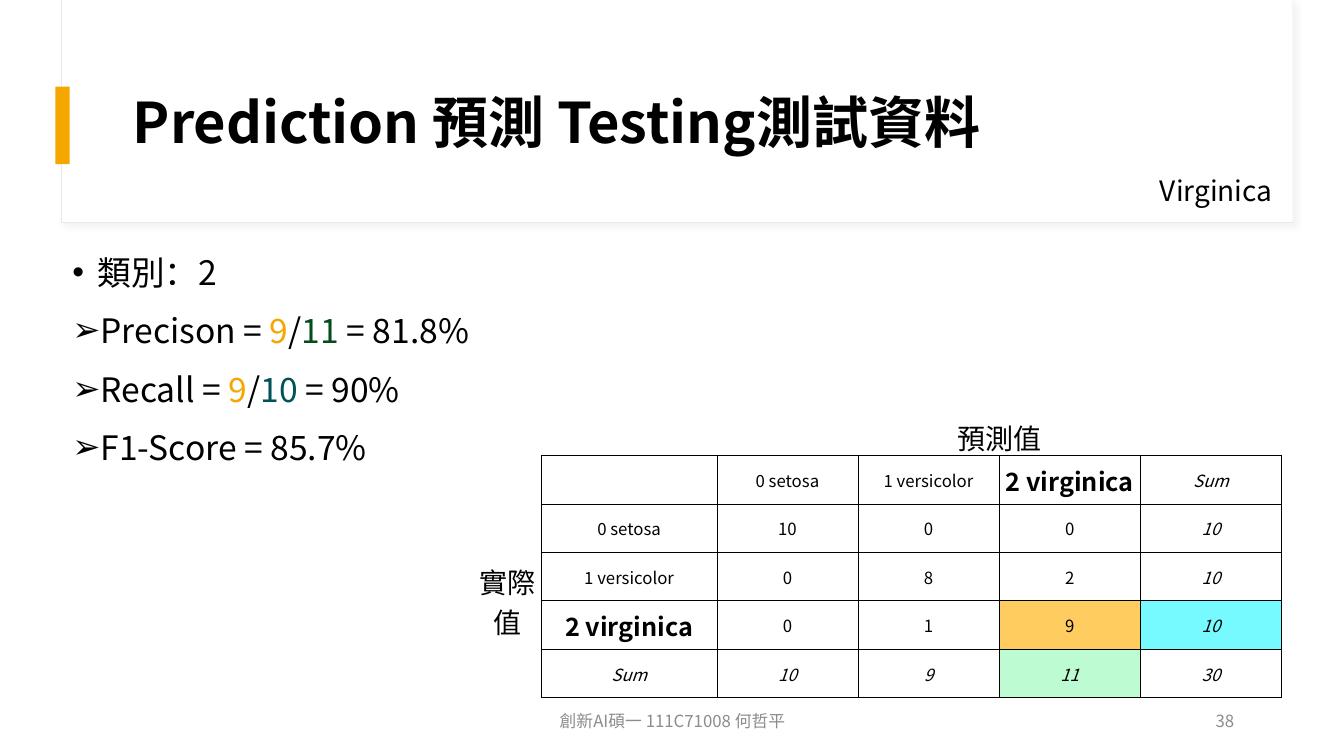
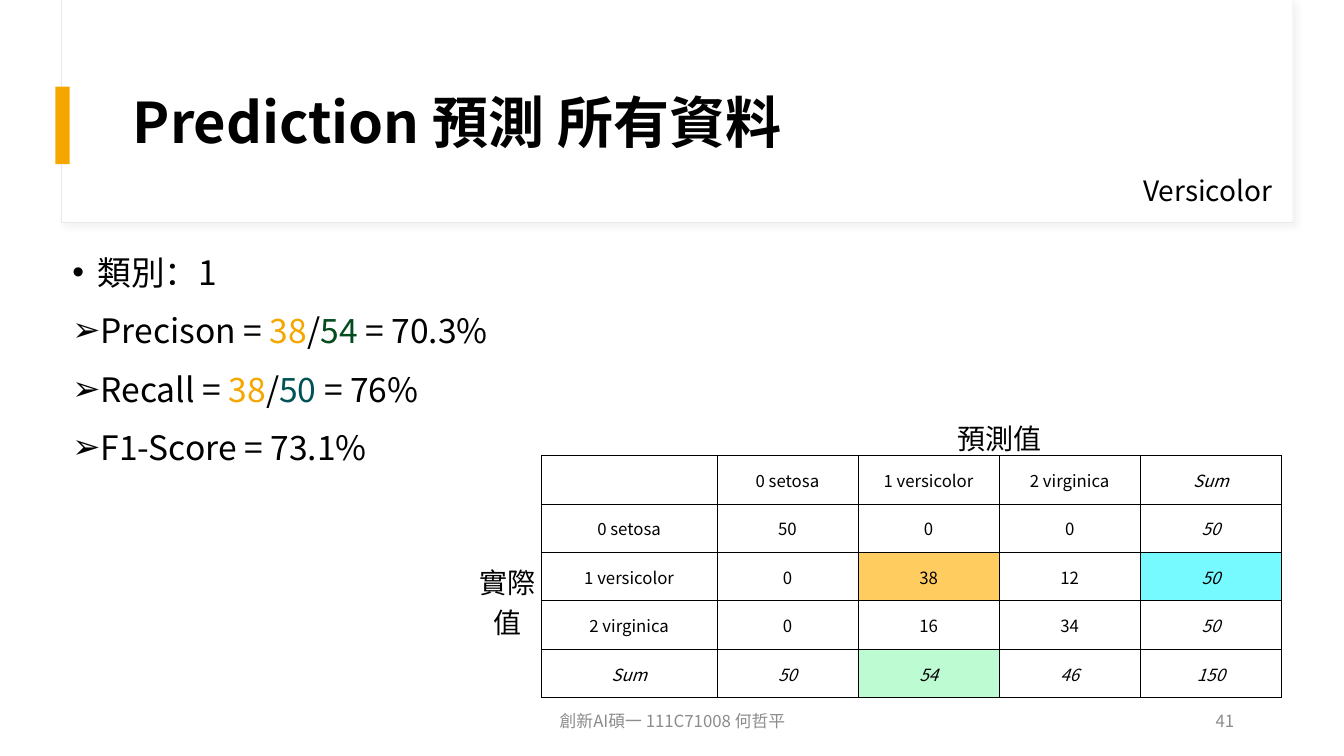
from lxml.etree import SubElement
from pptx import Presentation
from pptx.dml.color import RGBColor
from pptx.enum.shapes import MSO_SHAPE
from pptx.enum.text import MSO_ANCHOR as ANCHOR, PP_ALIGN as ALIGN
from pptx.oxml.ns import qn
from pptx.util import Inches, Pt

FONT = "Noto Sans CJK SC"
BLACK, WHITE, GREY = "000000", "FFFFFF", "8C8C8C"
BAND_LINE, SHADOW = "E9E9E9", "D9D9D9"
AMBER, GREEN, TEAL = "F5A700", "044B1E", "005256"
HIT_FILL, PREDICTED_FILL, ACTUAL_FILL = "FFCC60", "BDFBD3", "77FAFF"
CLASSES = ["0 setosa", "1 versicolor", "2 virginica"]
COLUMN_WIDTHS = [0.68, 1.74] + [1.4] * 4
ROW_HEIGHTS = [0.39] + [0.48] * 5


def rgb(value):
    return RGBColor.from_string(value)


def style_run(run, size, color=BLACK, bold=False, italic=False):
    font = run.font
    font.name, font.size, font.bold, font.italic = FONT, Pt(size), bold, italic
    font.color.rgb = rgb(color)
    SubElement(run._r.get_or_add_rPr(), qn("a:ea"), typeface=FONT)


def add_box(slide, left, top, width, height, fill, line=None):
    box = slide.shapes.add_shape(MSO_SHAPE.RECTANGLE, Inches(left), Inches(top),
                                 Inches(width), Inches(height))
    box.shadow.inherit = False
    box.fill.solid()
    box.fill.fore_color.rgb = rgb(fill)
    if line:
        box.line.color.rgb = rgb(line)
        box.line.width = Pt(0.75)
    else:
        box.line.fill.background()
    return box


def add_soft_shadow(shape):
    effects = shape._element.spPr.find(qn("a:effectLst"))
    outer = SubElement(effects, qn("a:outerShdw"), blurRad=str(Pt(4)),
                       dist=str(Pt(3)), dir=str(45 * 60000), algn="tl", rotWithShape="0")
    color = SubElement(outer, qn("a:srgbClr"), val=SHADOW)
    SubElement(color, qn("a:alpha"), val="30000")


def add_frame(slide, left, top, width, height, anchor=ANCHOR.TOP):
    frame = slide.shapes.add_textbox(Inches(left), Inches(top), Inches(width),
                                     Inches(height)).text_frame
    frame.word_wrap = True
    frame.vertical_anchor = anchor
    return frame


def add_label(slide, place, text, size, align=ALIGN.LEFT, color=BLACK,
              bold=False, anchor=ANCHOR.MIDDLE):
    frame = add_frame(slide, *place, anchor=anchor)
    frame.text = text
    paragraph = frame.paragraphs[0]
    paragraph.alignment = align
    style_run(paragraph.runs[0], size, color, bold)
    return paragraph


def add_heading(slide, title, species, number):
    """Draw the title band, the species name and the footer."""
    add_soft_shadow(add_box(slide, 0.61, 0, 12.21, 2.21, WHITE, BAND_LINE))
    add_box(slide, 0.62, 0, 12.2, 2.2, WHITE)
    add_box(slide, 0.55, 0.86, 0.14, 0.77, AMBER)
    add_label(slide, (1.22, 0.6, 11.12, 1.29), title, 40, bold=True).line_spacing = 0.9
    add_label(slide, (10.76, 1.67, 1.96, 0.44), species, 20, ALIGN.RIGHT,
              anchor=ANCHOR.TOP)
    add_label(slide, (9.34, 6.95, 3, 0.4), str(number), 12, ALIGN.RIGHT, GREY)
    add_label(slide, (4.42, 6.95, 4.5, 0.4), "創新AI碩一 111C71008 何哲平", 12,
              ALIGN.CENTER, GREY)


def set_bullet(paragraph, char):
    props = paragraph._p.get_or_add_pPr()
    props.set("marL", str(Inches(0.25)))
    props.set("indent", str(-Inches(0.25)))
    SubElement(props, qn("a:buFont"), typeface="Arial")
    SubElement(props, qn("a:buChar"), char=char)


def add_scores(slide, lines):
    """Write bulleted lines, each a bullet and its (text, colour) parts."""
    frame = add_frame(slide, 0.62, 2.41, 11.12, 4.04)
    for index, (bullet, parts) in enumerate(lines):
        paragraph = frame.add_paragraph() if index else frame.paragraphs[0]
        paragraph.line_spacing = 1.1
        paragraph.space_before = Pt(10)
        set_bullet(paragraph, bullet)
        for text, color in parts:
            run = paragraph.add_run()
            run.text = text
            style_run(run, 24, color)


def set_borders(cell, sides):
    """Rule the given sides; call before filling, as the lines come first."""
    props = cell._tc.get_or_add_tcPr()
    for side in sides:
        line = SubElement(props, qn(f"a:ln{side}"), w=str(Pt(0.5)))
        SubElement(SubElement(line, qn("a:solidFill")), qn("a:srgbClr"), val=BLACK)


def fill_cell(cell, text, size=12, bold=False, italic=False):
    cell.text = text
    paragraph = cell.text_frame.paragraphs[0]
    paragraph.alignment = ALIGN.CENTER
    for run in paragraph.runs:
        style_run(run, size, bold=bold, italic=italic)


def add_confusion_table(slide, counts, target, emphasize):
    """Draw actual against predicted counts, with sums, marking the target class."""
    rows = [row + [sum(row)] for row in counts]
    rows.append([sum(column) for column in zip(*rows)])
    names = CLASSES + ["Sum"]
    grid = [[""] + names] + [[name] + row for name, row in zip(names, rows)]
    last, marked = len(names), target + 1
    fills = {(marked, marked): HIT_FILL, (marked, last): ACTUAL_FILL,
             (last, marked): PREDICTED_FILL}

    table = slide.shapes.add_table(
        len(ROW_HEIGHTS), len(COLUMN_WIDTHS), Inches(4.69), Inches(4.13),
        Inches(sum(COLUMN_WIDTHS)), Inches(sum(ROW_HEIGHTS))).table
    table.first_row = table.horz_banding = False
    no_style = "{2D5ABB26-0587-4C30-8999-92F81FD0307C}"
    table._tbl.tblPr.find(qn("a:tableStyleId")).text = no_style
    for column, width in zip(table.columns, COLUMN_WIDTHS):
        column.width = Inches(width)
    for row, height in zip(table.rows, ROW_HEIGHTS):
        row.height = Inches(height)

    for r in range(len(ROW_HEIGHTS)):
        for c in range(len(COLUMN_WIDTHS)):
            cell = table.cell(r, c)
            cell.margin_left = cell.margin_right = cell.margin_top = Inches(0.01)
            cell.margin_bottom = 0
            cell.vertical_anchor = ANCHOR.MIDDLE
            inside = r > 0 and c > 0
            set_borders(cell, "LRTB" if inside else "R" * (r > 0) + "B" * (c > 0))
            fill = fills.get((r - 1, c - 1))
            if fill:
                cell.fill.solid()
                cell.fill.fore_color.rgb = rgb(fill)
            else:
                cell.fill.background()
            if inside:
                text = str(grid[r - 1][c - 1])
                strong = emphasize and text == CLASSES[target]
                fill_cell(cell, text, 18 if strong else 12, strong,
                          last in (r - 1, c - 1))

    predicted, actual = table.cell(0, 2), table.cell(2, 0)
    predicted.merge(table.cell(0, 5))
    actual.merge(table.cell(5, 0))
    fill_cell(predicted, "預測值", 20)
    fill_cell(actual, "實際值", 20)
    actual._tc.get_or_add_tcPr().set("vert", "eaVert")


def add_result_slide(deck, title, species, number, counts, target,
                     precision, recall, f1, emphasize=False):
    slide = deck.slides.add_slide(deck.slide_layouts[6])
    add_heading(slide, title, species, number)
    hits = (str(counts[target][target]), AMBER)
    predicted = str(sum(row[target] for row in counts))
    actual = str(sum(counts[target]))
    add_scores(slide, [
        ("•", [(f"類別：{target}", BLACK)]),
        ("➢", [("Precison = ", BLACK), hits, ("/", BLACK), (predicted, GREEN),
               (f" = {precision}", BLACK)]),
        ("➢", [("Recall = ", BLACK), hits, ("/", BLACK), (actual, TEAL),
               (f" = {recall}", BLACK)]),
        ("➢", [(f"F1-Score = {f1}", BLACK)]),
    ])
    add_confusion_table(slide, counts, target, emphasize)


def main():
    deck = Presentation()
    deck.slide_width, deck.slide_height = Inches(13.33), Inches(7.5)
    add_result_slide(deck, "Prediction 預測 Testing測試資料", "Virginica", 38,
                     [[10, 0, 0], [0, 8, 2], [0, 1, 9]], 2,
                     "81.8%", "90%", "85.7%", emphasize=True)
    add_result_slide(deck, "Prediction 預測 所有資料", "Versicolor", 41,
                     [[50, 0, 0], [0, 38, 12], [0, 16, 34]], 1,
                     "70.3%", "76%", "73.1%")
    deck.save("out.pptx")


if __name__ == "__main__":
    main()
